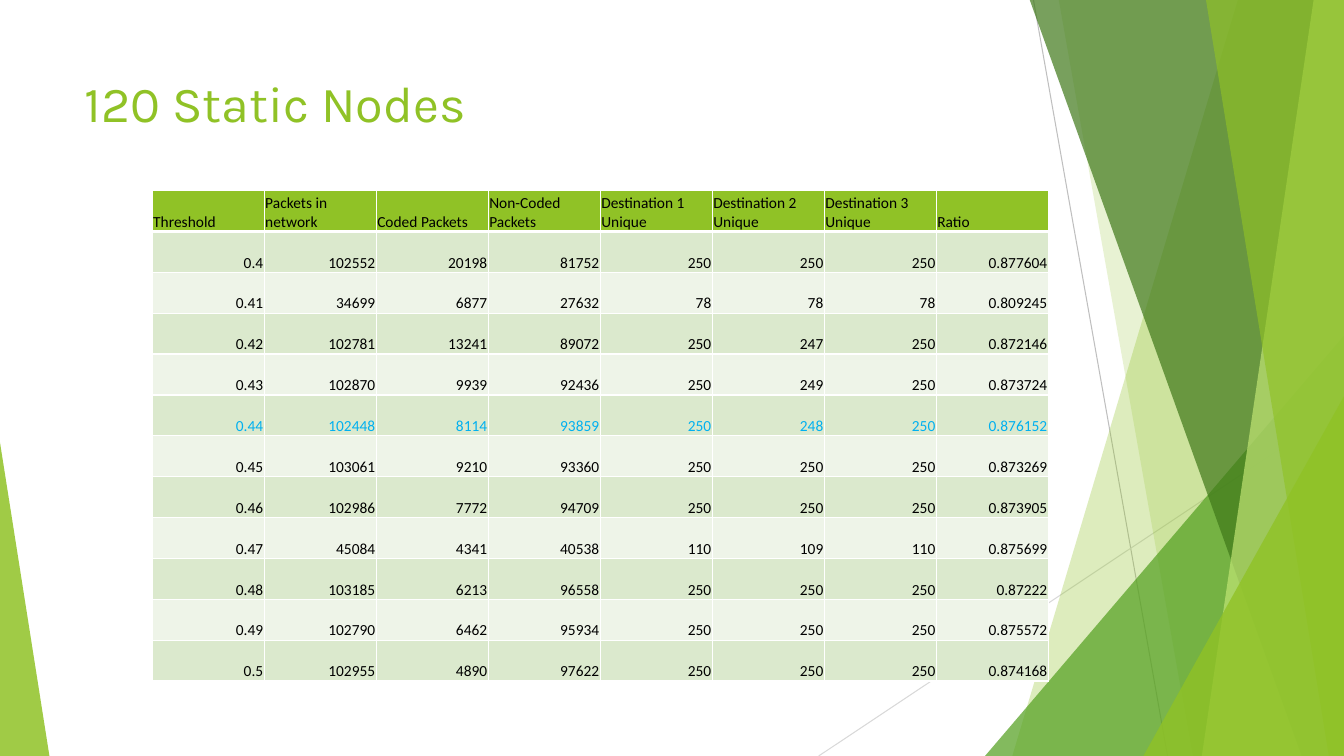
from lxml import etree
from pptx import Presentation
from pptx.dml.color import RGBColor
from pptx.enum import shapes, text
from pptx.oxml import ns
from pptx.util import Inches, Pt

WIDTH, HEIGHT = 13.33, 7.5
LIME = RGBColor(0x90, 0xC2, 0x26)
GREEN = RGBColor(0x54, 0xA0, 0x21)
FOREST = RGBColor(0x3F, 0x78, 0x19)
PALE_LIME = RGBColor(0xC0, 0xE4, 0x74)
LIGHT_GREY = RGBColor(0xD9, 0xD9, 0xD9)
GREY = RGBColor(0xBF, 0xBF, 0xBF)
BAND_DARK = RGBColor(0xDB, 0xE9, 0xCD)
BAND_LIGHT = RGBColor(0xEE, 0xF4, 0xE8)
BLACK = RGBColor(0, 0, 0)
WHITE = RGBColor(0xFF, 0xFF, 0xFF)
BLUE = RGBColor(0x00, 0xB0, 0xF0)

HEADINGS = ["Threshold", "Packets in network", "Coded Packets", "Non-Coded Packets",
            "Destination 1 Unique", "Destination 2 Unique", "Destination 3 Unique", "Ratio"]
RESULTS = [
    ["0.4", "102552", "20198", "81752", "250", "250", "250", "0.877604"],
    ["0.41", "34699", "6877", "27632", "78", "78", "78", "0.809245"],
    ["0.42", "102781", "13241", "89072", "250", "247", "250", "0.872146"],
    ["0.43", "102870", "9939", "92436", "250", "249", "250", "0.873724"],
    ["0.44", "102448", "8114", "93859", "250", "248", "250", "0.876152"],
    ["0.45", "103061", "9210", "93360", "250", "250", "250", "0.873269"],
    ["0.46", "102986", "7772", "94709", "250", "250", "250", "0.873905"],
    ["0.47", "45084", "4341", "40538", "110", "109", "110", "0.875699"],
    ["0.48", "103185", "6213", "96558", "250", "250", "250", "0.87222"],
    ["0.49", "102790", "6462", "95934", "250", "250", "250", "0.875572"],
    ["0.5", "102955", "4890", "97622", "250", "250", "250", "0.874168"],
]
HIGHLIGHTED = "0.44"


def paint(shape, color, opacity):
    """Give a shape a translucent fill (opacity in percent) and no outline."""
    shape.shadow.inherit = False
    shape.line.fill.background()
    shape.fill.solid()
    shape.fill.fore_color.rgb = color
    tint = shape.fill._xPr.find(".//" + ns.qn("a:srgbClr"))
    etree.SubElement(tint, ns.qn("a:alpha"), val=str(opacity * 1000))


def add_line(page, start, end, color):
    line = page.shapes.add_connector(shapes.MSO_CONNECTOR.STRAIGHT,
                                     *map(Inches, start + end))
    line.line.color.rgb = color
    line.line.width = Pt(0.75)
    etree.SubElement(line._element.spPr, ns.qn("a:effectLst"))


def add_panel(page, top_left, bottom_left, color, opacity):
    """Add a full-height panel with a slanted left side, flush with the right edge."""
    top = Inches(-0.01)
    right, bottom = Inches(WIDTH), Inches(HEIGHT)
    builder = page.shapes.build_freeform(Inches(top_left), top)
    builder.add_line_segments([(right, top), (right, bottom),
                               (Inches(bottom_left), bottom)])
    paint(builder.convert_to_shape(), color, opacity)


def add_triangle(page, left, top, width, apex, color, opacity):
    """Add a triangle standing on the bottom edge; apex runs from 0 (left) to 1 (right)."""
    triangle = page.shapes.add_shape(
        shapes.MSO_SHAPE.ISOSCELES_TRIANGLE,
        Inches(left), Inches(top), Inches(width), Inches(HEIGHT - top))
    triangle.adjustments[0] = apex
    paint(triangle, color, opacity)


def add_backdrop(page):
    add_line(page, (10.25, 0), (11.58, HEIGHT), GREY)
    add_line(page, (WIDTH, 4.03), (8.12, HEIGHT), LIGHT_GREY)
    add_panel(page, 12.28, 10.04, LIME, 30)
    add_panel(page, 10.5, 11.83, LIME, 20)
    add_triangle(page, 9.77, 3.33, 3.56, 1, GREEN, 72)
    add_panel(page, 10.21, 12.91, FOREST, 70)
    add_panel(page, 13.03, 11.92, PALE_LIME, 70)
    add_panel(page, 11.96, 13.18, LIME, 65)
    add_triangle(page, 11.34, 3.93, 1.99, 1, LIME, 80)
    add_triangle(page, 0, 4.39, 0.49, 0, LIME, 85)


def add_run(para, words, font, size, color):
    span = para.add_run()
    span.text = words
    span.font.name = font
    span.font.size = Pt(size)
    span.font.bold = False
    span.font.color.rgb = color


def set_title(page, words):
    title = page.shapes.title
    title.left, title.top = Inches(0.74), Inches(0.67)
    title.width, title.height = Inches(9.4), Inches(1.44)
    frame = title.text_frame
    frame.word_wrap = True
    frame.vertical_anchor = text.MSO_ANCHOR.TOP
    para = frame.paragraphs[0]
    para.alignment = text.PP_ALIGN.LEFT
    add_run(para, words, "Karla", 36, LIME)
    title._element.getparent().append(title._element)


def set_borders(cell, top, bottom):
    """Draw white borders; top and bottom widths are in points."""
    properties = cell._tc.get_or_add_tcPr()
    for side, width in (("L", 1), ("R", 1), ("T", top), ("B", bottom)):
        border = etree.SubElement(properties, ns.qn("a:ln" + side), w=str(Pt(width)))
        fill = etree.SubElement(border, ns.qn("a:solidFill"))
        etree.SubElement(fill, ns.qn("a:srgbClr"), val=str(WHITE))


def fill_cell(cell, words, align, color, background, top=1, bottom=1):
    set_borders(cell, top, bottom)
    cell.fill.solid()
    cell.fill.fore_color.rgb = background
    cell.margin_left = cell.margin_right = cell.margin_top = Inches(0.01)
    cell.margin_bottom = 0
    cell.vertical_anchor = text.MSO_ANCHOR.BOTTOM
    para = cell.text_frame.paragraphs[0]
    para.alignment = align
    add_run(para, words, "Calibri", 11, color)


def add_results_table(page):
    table = page.shapes.add_table(
        len(RESULTS) + 1, len(HEADINGS),
        Inches(1.51), Inches(1.89), Inches(8.89), Inches(4.87)).table
    for column, heading in enumerate(HEADINGS):
        fill_cell(table.cell(0, column), heading, text.PP_ALIGN.LEFT,
                  BLACK, LIME, bottom=3)
    for row, values in enumerate(RESULTS, start=1):
        color = BLUE if values[0] == HIGHLIGHTED else BLACK
        background = BAND_DARK if row % 2 else BAND_LIGHT
        for column, value in enumerate(values):
            fill_cell(table.cell(row, column), value, text.PP_ALIGN.RIGHT,
                      color, background, top=3 if row == 1 else 1)


def main():
    deck = Presentation()
    deck.slide_width, deck.slide_height = Inches(WIDTH), Inches(HEIGHT)
    page = deck.slides.add_slide(deck.slide_layouts.get_by_name("Title Only"))
    add_backdrop(page)
    set_title(page, "120 Static Nodes")
    add_results_table(page)
    deck.save("out.pptx")


if __name__ == "__main__":
    main()
